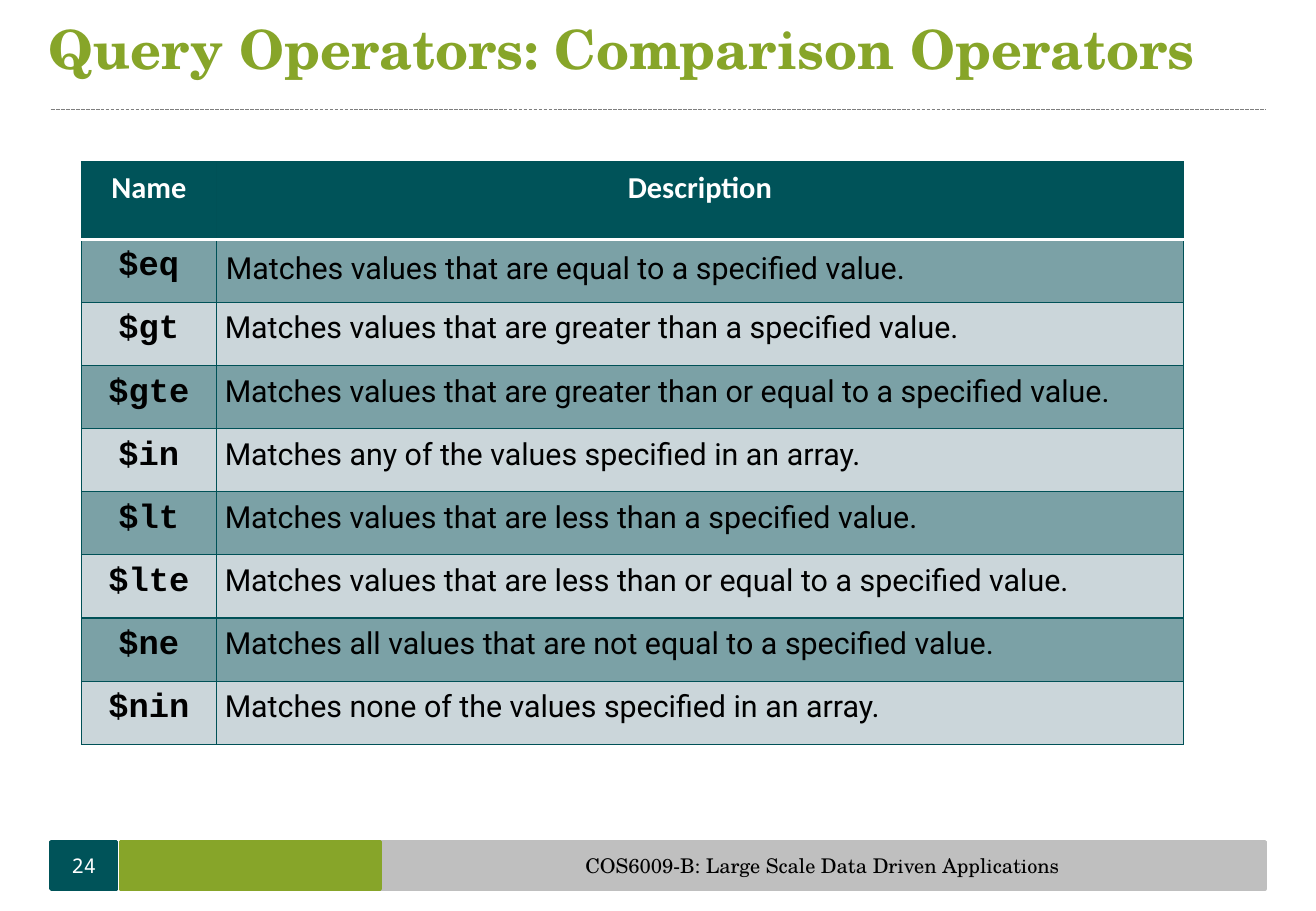
from lxml import etree
from pptx import Presentation
from pptx.dml.color import RGBColor
from pptx.enum.dml import MSO_LINE
from pptx.enum.shapes import MSO_CONNECTOR, MSO_SHAPE
from pptx.enum.text import MSO_ANCHOR, PP_ALIGN
from pptx.oxml.ns import qn
from pptx.util import Inches, Pt

TEAL, GREEN, GREY = "005359", "87A529", "BFBFBF"
DARK_BAND, LIGHT_BAND, BORDER = "7BA1A6", "CBD6DA", "005157"
WHITE, BLACK = "FFFFFF", "000000"


def write(text_frame, text, size, font_name, color, bold=False, align=PP_ALIGN.CENTER):
    text_frame.text = text
    paragraph = text_frame.paragraphs[0]
    paragraph.alignment = align
    font = paragraph.runs[0].font
    font.size, font.name, font.bold = Pt(size), font_name, bold
    font.color.rgb = RGBColor.from_string(color)


def add_border(cell, side, color, width):
    """Draw one cell side: L, R, T or B, in that order and before the fill."""
    line = etree.SubElement(cell._tc.get_or_add_tcPr(), qn(f"a:ln{side}"), w=str(Pt(width)))
    fill = etree.SubElement(line, qn("a:solidFill"))
    etree.SubElement(fill, qn("a:srgbClr"), val=color)


presentation = Presentation()
presentation.slide_width, presentation.slide_height = Inches(10.83), Inches(7.5)
slide = presentation.slides.add_slide(presentation.slide_layouts[5])

# Title and rule
title = slide.shapes.title
title.left, title.top = Inches(0.4), Inches(-0.03)
title.width, title.height = Inches(10), Inches(0.85)
title_frame = title.text_frame
title_frame.margin_left = title_frame.margin_right = 0
title_frame.margin_top = title_frame.margin_bottom = 0
title_frame.vertical_anchor = MSO_ANCHOR.MIDDLE
write(title_frame, "Query Operators: Comparison Operators", 32,
      "TeX Gyre Schola", GREEN, True, PP_ALIGN.LEFT)

rule = slide.shapes.add_connector(
    MSO_CONNECTOR.STRAIGHT, Inches(0.42), Inches(0.9), Inches(10.42), Inches(0.9))
rule.line.color.rgb = RGBColor.from_string("7F7F7F")
rule.line.width = Pt(0.75)
rule.line.dash_style = MSO_LINE.SQUARE_DOT
etree.SubElement(rule._element.spPr, qn("a:effectLst"))

# Footer bars: left, width, colour, text, font, text colour
footer_bars = [
    (0.42, 0.54, TEAL, "24", "Noto Sans Mono", WHITE),
    (3.13, 7.28, GREY, "COS6009-B: Large Scale Data Driven Applications",
     "TeX Gyre Schola", BLACK),
    (0.99, 2.14, GREEN, "", "", ""),
]
for left, width, color, text, font_name, text_color in footer_bars:
    bar = slide.shapes.add_shape(
        MSO_SHAPE.RECTANGLE, Inches(left), Inches(6.93), Inches(width), Inches(0.39))
    bar.shadow.inherit = False
    bar.fill.solid()
    bar.fill.fore_color.rgb = RGBColor.from_string(color)
    bar.line.color.rgb = RGBColor.from_string(color)
    bar.line.width = Pt(2)
    if text:
        bar_frame = bar.text_frame
        bar_frame.margin_left = bar_frame.margin_right = 0
        bar_frame.margin_top = bar_frame.margin_bottom = 0
        bar_frame.vertical_anchor = MSO_ANCHOR.MIDDLE
        write(bar_frame, text, 12, font_name, text_color)

# Operator table
operators = [
    ("Name", "Description"),
    ("$eq", "Matches values that are equal to a specified value."),
    ("$gt", "Matches values that are greater than a specified value."),
    ("$gte", "Matches values that are greater than or equal to a specified value."),
    ("$in", "Matches any of the values specified in an array."),
    ("$lt", "Matches values that are less than a specified value."),
    ("$lte", "Matches values that are less than or equal to a specified value."),
    ("$ne", "Matches all values that are not equal to a specified value."),
    ("$nin", "Matches none of the values specified in an array."),
]
table = slide.shapes.add_table(
    len(operators), 2, Inches(0.67), Inches(1.33), Inches(9.07), Inches(4.83)).table
table.columns[0].width, table.columns[1].width = Inches(1.11), Inches(7.96)

for row, texts in enumerate(operators):
    table.rows[row].height = Inches(0.52 if row else 0.64)
    for column, text in enumerate(texts):
        cell = table.cell(row, column)
        cell.margin_left = cell.margin_right = Inches(0.07)
        cell.margin_top = cell.margin_bottom = Inches(0.07)
        for side in "LRTB":
            under_header = (row, side) in [(0, "B"), (1, "T")]
            add_border(cell, side, *((WHITE, 2) if under_header else (BORDER, 0.75)))
        band = DARK_BAND if row % 2 else LIGHT_BAND
        cell.fill.solid()
        cell.fill.fore_color.rgb = RGBColor.from_string(band if row else TEAL)
        if row == 0:
            write(cell.text_frame, text, 18, "Calibri", WHITE, True)
        elif column == 0:
            write(cell.text_frame, text, 20, "Courier New", BLACK, True)
        else:
            write(cell.text_frame, text, 18, "Roboto", BLACK, align=PP_ALIGN.LEFT)

first_description = table.cell(1, 1)
first_description.margin_left, first_description.margin_right = Inches(0.08), Inches(0.25)
first_description.margin_top = first_description.margin_bottom = Inches(0.1)

presentation.save("out.pptx")
